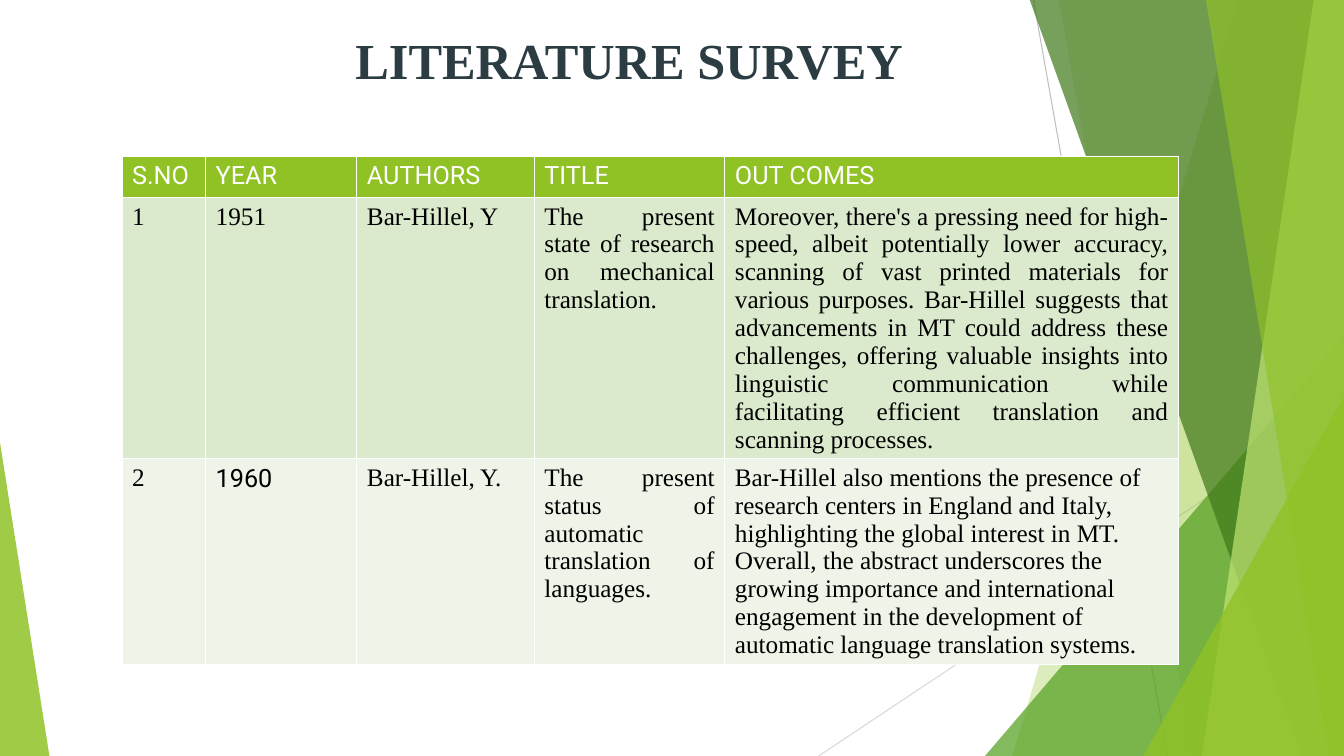
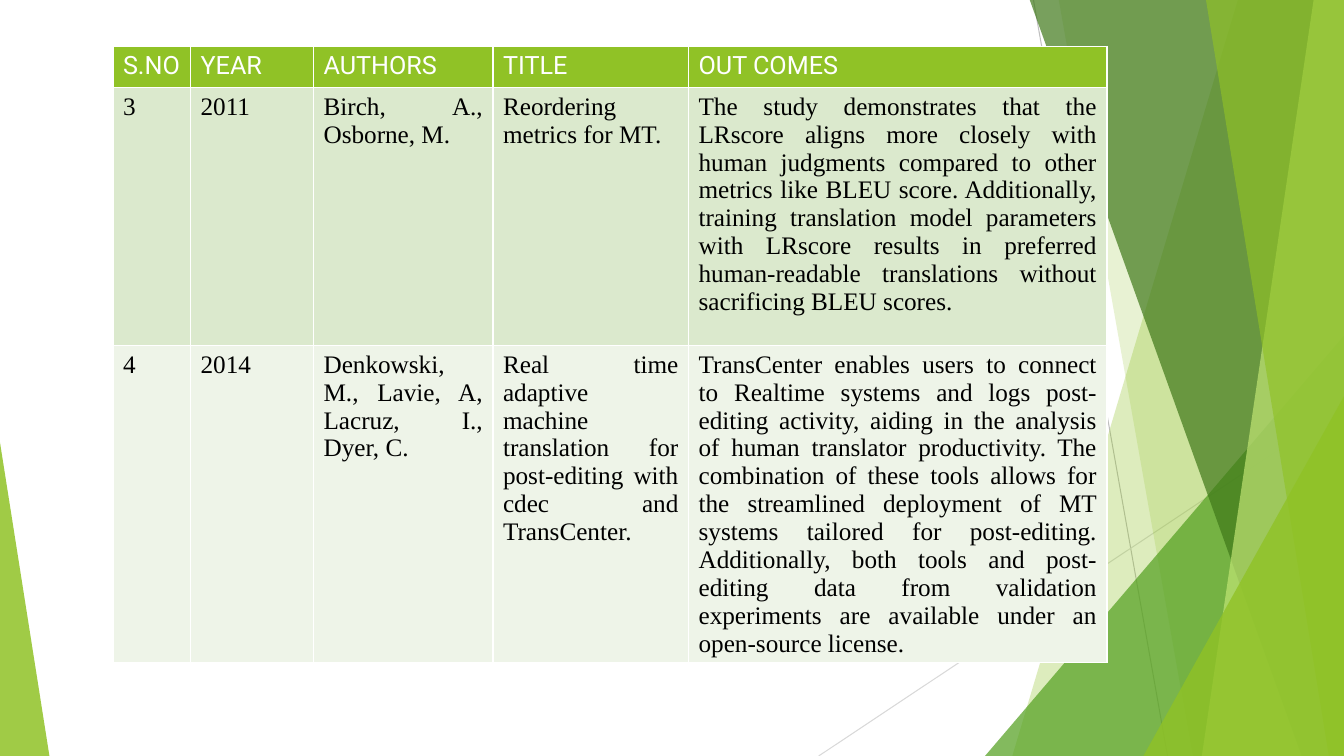
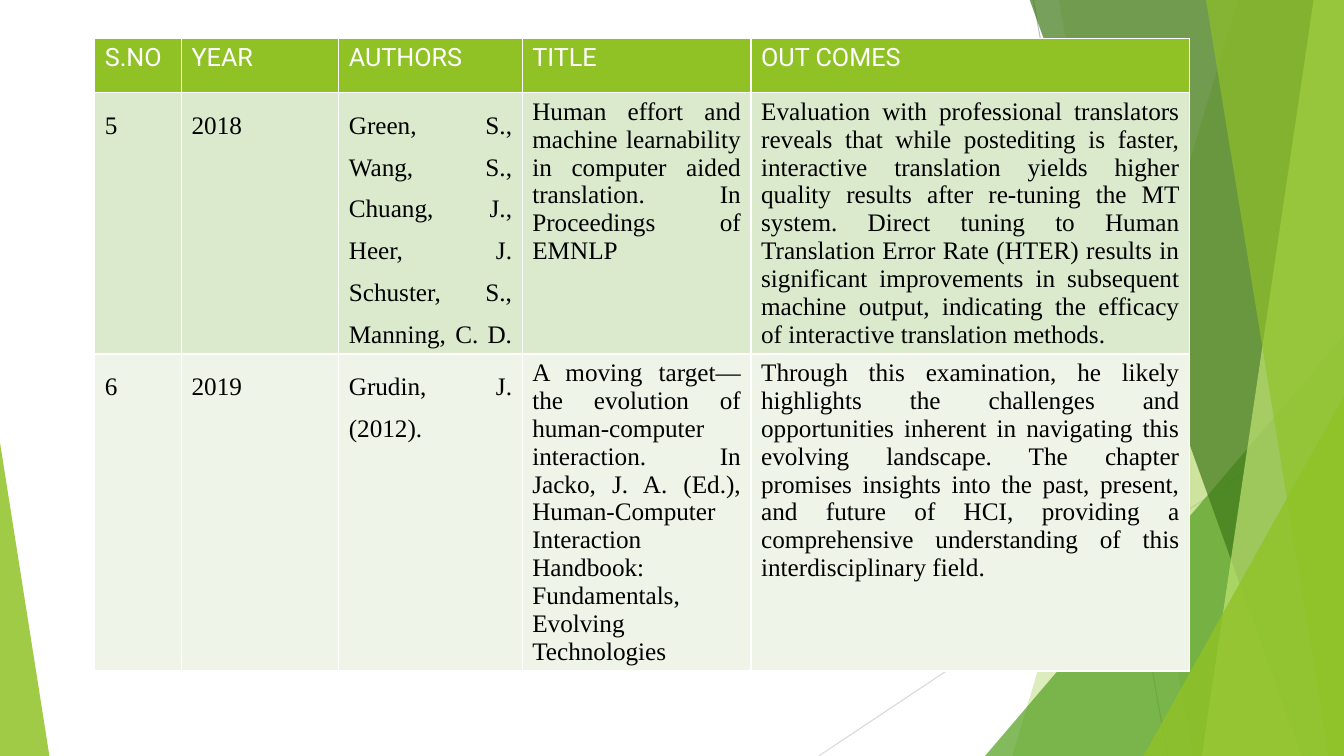
from lxml.etree import SubElement
from pptx import Presentation
from pptx.dml.color import RGBColor
from pptx.enum.shapes import MSO_CONNECTOR, MSO_SHAPE
from pptx.enum.text import MSO_ANCHOR, PP_ALIGN
from pptx.oxml import parse_xml
from pptx.oxml.ns import nsdecls, qn
from pptx.util import Inches, Pt

WIDTH, HEIGHT = 13.33, 7.5
BAND_TOP = -0.01
LIME, GREEN, DARK_GREEN, PALE_LIME = "90C226", "54A021", "3F7819", "C0E474"
WHITE, BLACK, TITLE_COLOR = "FFFFFF", "000000", "2C3C43"
ROW_FILLS = ["DBE9CD", "EEF4E8"]
SERIF, SANS = "Times New Roman", "Roboto"
HEADERS = ["S.NO", "YEAR", "AUTHORS", "TITLE", "OUT COMES"]


def color(hex_value):
    return RGBColor.from_string(hex_value)


def set_font(paragraph, name, size, hex_value, bold=False):
    font = paragraph.font
    font.name, font.size, font.bold = name, Pt(size), bold
    font.color.rgb = color(hex_value)


# Background decoration
def paint(shape, hex_value, opacity):
    shape.shadow.inherit = False
    shape.line.fill.background()
    shape.fill.solid()
    shape.fill.fore_color.rgb = color(hex_value)
    color_element = shape.fill._xPr.find(qn("a:solidFill"))[0]
    SubElement(color_element, qn("a:alpha"), val=str(opacity * 1000))


def add_thin_line(slide, start, end, hex_value):
    line = slide.shapes.add_connector(
        MSO_CONNECTOR.STRAIGHT, *[Inches(value) for value in start + end])
    line.line.color.rgb = color(hex_value)
    line.line.width = Pt(0.75)
    SubElement(line._element.spPr, qn("a:effectLst"))


def add_band(slide, top_x, bottom_x, hex_value, opacity):
    """Fill from a slanted left edge to the right side of the slide."""
    builder = slide.shapes.build_freeform(Inches(top_x), Inches(BAND_TOP))
    corners = [(WIDTH, BAND_TOP), (WIDTH, HEIGHT), (bottom_x, HEIGHT)]
    builder.add_line_segments([(Inches(x), Inches(y)) for x, y in corners])
    paint(builder.convert_to_shape(), hex_value, opacity)


def add_corner(slide, left, top, width, apex, hex_value, opacity):
    """Add a triangle that stands on the bottom edge of the slide."""
    triangle = slide.shapes.add_shape(
        MSO_SHAPE.ISOSCELES_TRIANGLE, Inches(left), Inches(top),
        Inches(width), Inches(HEIGHT - top))
    triangle.adjustments[0] = apex
    paint(triangle, hex_value, opacity)


def add_decoration(slide):
    add_thin_line(slide, (10.25, 0), (11.58, HEIGHT), "BFBFBF")
    add_thin_line(slide, (WIDTH, 4.03), (8.12, HEIGHT), "D9D9D9")
    add_band(slide, 12.28, 10.04, LIME, 30)
    add_band(slide, 10.5, 11.83, LIME, 20)
    add_corner(slide, 9.77, 3.33, 3.56, 1, GREEN, 72)
    add_band(slide, 10.21, 12.91, DARK_GREEN, 70)
    add_band(slide, 13.03, 11.92, PALE_LIME, 70)
    add_band(slide, 11.96, 13.18, LIME, 65)
    add_corner(slide, 11.34, 3.93, 1.99, 1, LIME, 80)
    add_corner(slide, 0, 4.39, 0.49, 0, LIME, 85)


# Title and table
def add_title(slide, text):
    box = slide.shapes.add_textbox(
        Inches(2.23), Inches(-0.18), Inches(7.02), Inches(0.92))
    frame = box.text_frame
    frame.word_wrap = True
    frame.vertical_anchor = MSO_ANCHOR.TOP
    frame.margin_left = Inches(1.1)
    paragraph = frame.paragraphs[0]
    paragraph.text = text
    paragraph.alignment = PP_ALIGN.CENTER
    paragraph.line_spacing = 1.7
    set_font(paragraph, SERIF, 36, TITLE_COLOR, bold=True)


def set_borders(cell):
    properties = cell._tc.get_or_add_tcPr()
    for index, side in enumerate(["lnL", "lnR", "lnT", "lnB"]):
        properties.insert(index, parse_xml(
            f'<a:{side} {nsdecls("a")} w="{Pt(1)}"><a:solidFill>'
            f'<a:srgbClr val="{WHITE}"/></a:solidFill></a:{side}>'))


def fill_cell(cell, text, fill, text_color, font_name, alignment,
              line_spacing=None):
    cell.fill.solid()
    cell.fill.fore_color.rgb = color(fill)
    set_borders(cell)
    paragraph = cell.text_frame.paragraphs[0]
    paragraph.text = text
    paragraph.alignment = alignment
    paragraph.line_spacing = line_spacing
    set_font(paragraph, font_name, 18, text_color)


def add_survey_table(slide, left, top, column_widths, row_heights, entries,
                     loose_columns=0, sans_cells=(), left_cells=()):
    """Add a survey table; the first loose_columns get 1.5 line spacing."""
    table = slide.shapes.add_table(
        len(row_heights), len(column_widths), Inches(left), Inches(top),
        Inches(sum(column_widths)), Inches(sum(row_heights))).table
    for column, width in zip(table.columns, column_widths):
        column.width = Inches(width)
    for row, height in zip(table.rows, row_heights):
        row.height = Inches(height)
    for column, text in enumerate(HEADERS):
        fill_cell(table.cell(0, column), text, LIME, WHITE, SANS,
                  PP_ALIGN.LEFT)
    for row, entry in enumerate(entries, 1):
        for column, text in enumerate(entry):
            position = (row, column)
            fill_cell(
                table.cell(row, column), text, ROW_FILLS[row - 1], BLACK,
                SANS if position in sans_cells else SERIF,
                PP_ALIGN.LEFT if position in left_cells else PP_ALIGN.JUSTIFY,
                1.5 if column < loose_columns else None)


EARLY_STUDIES = [
    ["1", "1951", "Bar-Hillel, Y",
     "The present state of research on mechanical translation. ",
     "Moreover, there's a pressing need for high-speed, albeit potentially "
     "lower accuracy, scanning of vast printed materials for various "
     "purposes. Bar-Hillel suggests that advancements in MT could address "
     "these challenges, offering valuable insights into linguistic "
     "communication while facilitating efficient translation and scanning "
     "processes. "],
    ["2", "1960", "Bar-Hillel, Y. ",
     "The present status of automatic translation of languages. ",
     "Bar-Hillel also mentions the presence of research centers in England "
     "and Italy, highlighting the global interest in MT. Overall, the "
     "abstract underscores the growing importance and international "
     "engagement in the development of automatic language translation "
     "systems."],
]
METRIC_STUDIES = [
    ["3", "2011", "Birch, A., Osborne, M. ", "Reordering metrics for MT.",
     "The study demonstrates that the LRscore aligns more closely with human "
     "judgments compared to other metrics like BLEU score. Additionally, "
     "training translation model parameters with LRscore results in "
     "preferred human-readable translations without sacrificing BLEU "
     "scores."],
    ["4", "2014", "Denkowski, M., Lavie, A, Lacruz, I., Dyer, C. ",
     "Real time adaptive machine translation for post-editing with cdec and "
     "TransCenter.",
     "TransCenter enables users to connect to Realtime systems and logs "
     "post-editing activity, aiding in the analysis of human translator "
     "productivity. The combination of these tools allows for the "
     "streamlined deployment of MT systems tailored for post-editing. "
     "Additionally, both tools and post-editing data from validation "
     "experiments are available under an open-source license. "],
]
INTERACTION_STUDIES = [
    ["5", "2018",
     "Green, S., Wang, S., Chuang, J., Heer, J. Schuster, S., "
     "Manning, C. D. ",
     "Human effort and machine learnability in computer aided translation. "
     "In Proceedings of EMNLP",
     "Evaluation with professional translators reveals that while "
     "postediting is faster, interactive translation yields higher quality "
     "results after re-tuning the MT system. Direct tuning to Human "
     "Translation Error Rate (HTER) results in significant improvements in "
     "subsequent machine output, indicating the efficacy of interactive "
     "translation methods. "],
    ["6", "2019", "Grudin, J. (2012). ",
     "A moving target—the evolution of human-computer interaction. In Jacko, "
     "J. A. (Ed.), Human-Computer Interaction Handbook: Fundamentals, "
     "Evolving Technologies",
     "Through this examination, he likely highlights the challenges and "
     "opportunities inherent in navigating this evolving landscape. The "
     "chapter promises insights into the past, present, and future of HCI, "
     "providing a comprehensive understanding of this interdisciplinary "
     "field."],
]


def main():
    presentation = Presentation()
    presentation.slide_width = Inches(WIDTH)
    presentation.slide_height = Inches(HEIGHT)
    blank_layout = presentation.slide_layouts[6]
    slides = [presentation.slides.add_slide(blank_layout) for _ in range(3)]
    for slide in slides:
        add_decoration(slide)

    early, metrics, interaction = slides
    add_survey_table(early, 1.21, 1.55, [0.83, 1.5, 1.76, 1.89, 4.5],
                     [0.41, 2.59, 2.03], EARLY_STUDIES,
                     sans_cells=[(2, 1)], left_cells=[(2, 4)])
    add_title(early, "LITERATURE SURVEY")
    add_survey_table(metrics, 1.12, 0.46, [0.77, 1.22, 1.78, 1.94, 4.15],
                     [0.41, 2.56, 3.14], METRIC_STUDIES)
    add_survey_table(interaction, 0.94, 0.38, [0.86, 1.56, 1.82, 2.27, 4.35],
                     [0.54, 2.59, 3.14], INTERACTION_STUDIES,
                     loose_columns=3)
    presentation.save("out.pptx")


if __name__ == "__main__":
    main()
